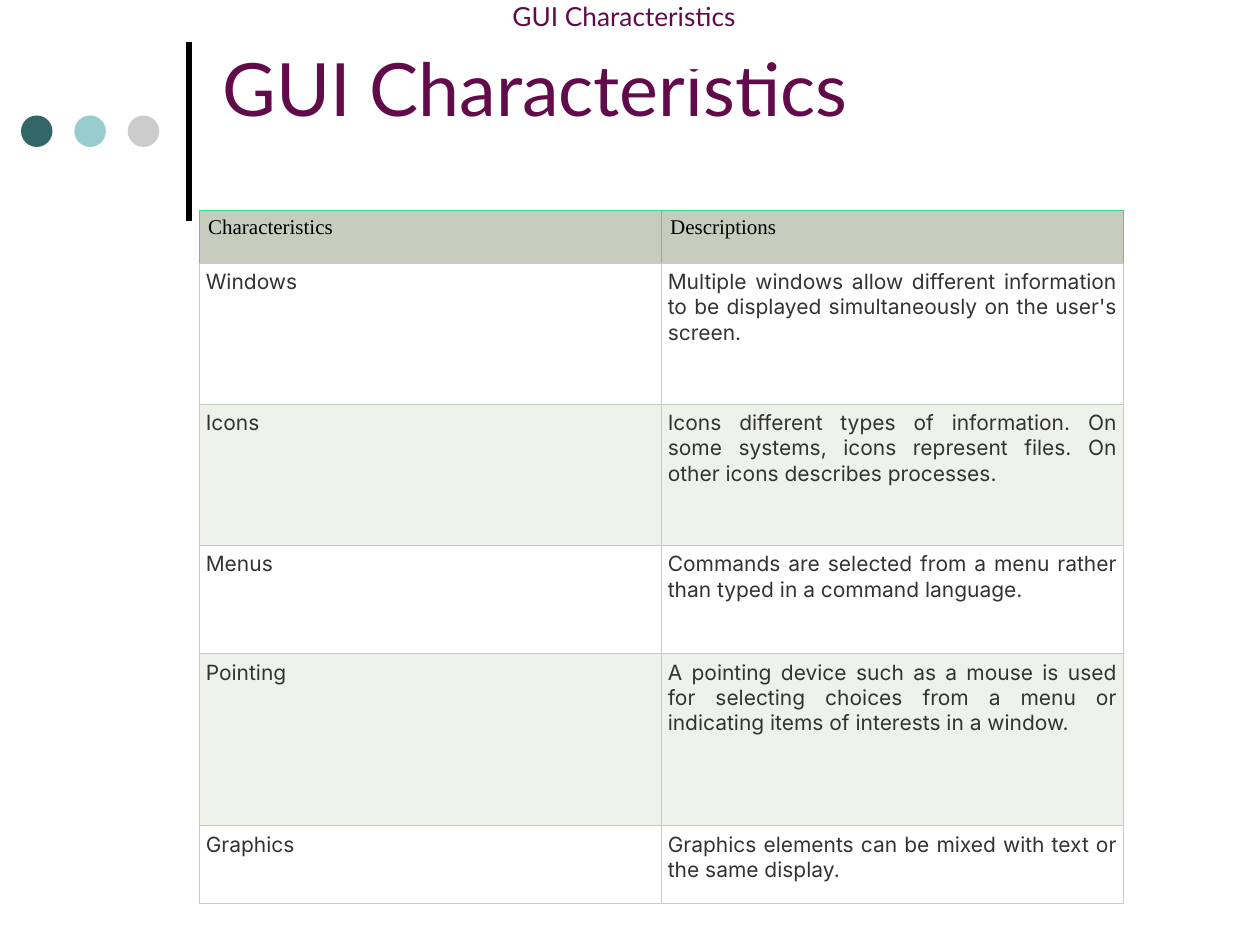
from lxml.etree import SubElement
from pptx import Presentation
from pptx.dml.color import RGBColor
from pptx.enum.shapes import MSO_CONNECTOR, MSO_SHAPE
from pptx.enum.text import MSO_ANCHOR, PP_ALIGN
from pptx.oxml.ns import qn
from pptx.util import Pt

TITLE = "GUI Characteristics"
HEADINGS = ("Characteristics", "Descriptions")
CHARACTERISTICS = [
    ("Windows", "Multiple windows allow different information to be displayed "
                "simultaneously on the user's screen."),
    ("Icons", "Icons different types of information. On some systems, icons "
              "represent files. On other icons describes processes."),
    ("Menus", "Commands are selected from a menu rather than typed in a "
              "command language."),
    ("Pointing", "A pointing device such as a mouse is used for selecting choices "
                 "from a menu or indicating items of interests in a window."),
    ("Graphics", "Graphics elements can be mixed with text or the same display."),
]
ROW_HEIGHTS = (30.2, 80.6, 80.6, 62, 98.5, 44.3)
COLUMN_WIDTH = 264
TABLE_LEFT, TABLE_TOP = 114, 120

DOT_COLORS = ("336666", "99CCCC", "CCCCCC")
DOT_LEFT, DOT_TOP, DOT_SIZE, DOT_PITCH = 12, 66, 18, 30.5

PLUM, SAGE, GREEN = "610B4B", "C7CCBE", "30E085"
BAND_FILLS = ("FFFFFF", "EFF1EB")


def color(value):
    return RGBColor.from_string(value)


def fill(item, value):
    item.fill.solid()
    item.fill.fore_color.rgb = color(value)


def write(paragraph, text, font, size, ink):
    run = paragraph.add_run()
    run.text = text
    run.font.name = font
    run.font.size = Pt(size)
    run.font.color.rgb = color(ink)


def set_margins(item, side, top):
    item.margin_left = item.margin_right = Pt(side)
    item.margin_top = item.margin_bottom = Pt(top)


def set_borders(cell, left, right, top, bottom):
    properties = cell._tc.get_or_add_tcPr()
    for tag, value in zip(("a:lnL", "a:lnR", "a:lnT", "a:lnB"),
                          (left, right, top, bottom)):
        border = SubElement(properties, qn(tag), w=str(Pt(0.28)))
        solid = SubElement(border, qn("a:solidFill"))
        SubElement(solid, qn("a:srgbClr"), val=value)


def add_heading(slide, left, top, width, height, size, top_margin, wrap):
    box = slide.shapes.add_textbox(Pt(left), Pt(top), Pt(width), Pt(height))
    frame = box.text_frame
    frame.word_wrap = wrap
    frame.vertical_anchor = MSO_ANCHOR.TOP
    set_margins(frame, 7.2, top_margin)
    write(frame.paragraphs[0], TITLE, "Lato", size, PLUM)
    return box


def add_decoration(slide):
    rule = slide.shapes.add_connector(
        MSO_CONNECTOR.STRAIGHT, Pt(108), Pt(126), Pt(108), Pt(24))
    rule.line.color.rgb = color("000000")
    rule.line.width = Pt(3)
    SubElement(rule._element.spPr, qn("a:effectLst"))
    for index, dot_color in enumerate(DOT_COLORS):
        dot = slide.shapes.add_shape(
            MSO_SHAPE.OVAL, Pt(DOT_LEFT + index * DOT_PITCH), Pt(DOT_TOP),
            Pt(DOT_SIZE), Pt(DOT_SIZE))
        dot.shadow.inherit = False
        fill(dot, dot_color)
        dot.line.fill.background()


def add_characteristics(slide):
    rows = [HEADINGS] + CHARACTERISTICS
    table = slide.shapes.add_table(
        len(rows), len(HEADINGS), Pt(TABLE_LEFT), Pt(TABLE_TOP),
        Pt(COLUMN_WIDTH * len(HEADINGS)), Pt(sum(ROW_HEIGHTS))).table
    table.first_row = table.horz_banding = False
    for column in table.columns:
        column.width = Pt(COLUMN_WIDTH)
    for row_index, (texts, height) in enumerate(zip(rows, ROW_HEIGHTS)):
        table.rows[row_index].height = Pt(height)
        for cell, text in zip(table.rows[row_index].cells, texts):
            paragraph = cell.text_frame.paragraphs[0]
            if row_index == 0:
                set_margins(cell, 5, 3.6)
                set_borders(cell, GREEN, GREEN, GREEN, SAGE)
                fill(cell, SAGE)
                write(paragraph, text, "Times New Roman", 12, "000000")
            else:
                set_margins(cell, 3.6, 3.6)
                set_borders(cell, SAGE, SAGE, SAGE, SAGE)
                fill(cell, BAND_FILLS[(row_index - 1) % 2])
                paragraph.alignment = PP_ALIGN.JUSTIFY
                write(paragraph, text, "Inter", 12, "333333")


def main():
    deck = Presentation()
    deck.slide_width, deck.slide_height = Pt(720), Pt(540)
    slide = deck.slides.add_slide(deck.slide_layouts[6])
    add_decoration(slide)
    add_heading(slide, 120, 15, 552, 120, 42, 9.7, True)
    add_characteristics(slide)
    caption = add_heading(slide, 285.8, -3.6, 149, 43.2, 15, 3.6, False)
    fill(caption, "FFFFFF")
    deck.save("out.pptx")


if __name__ == "__main__":
    main()
